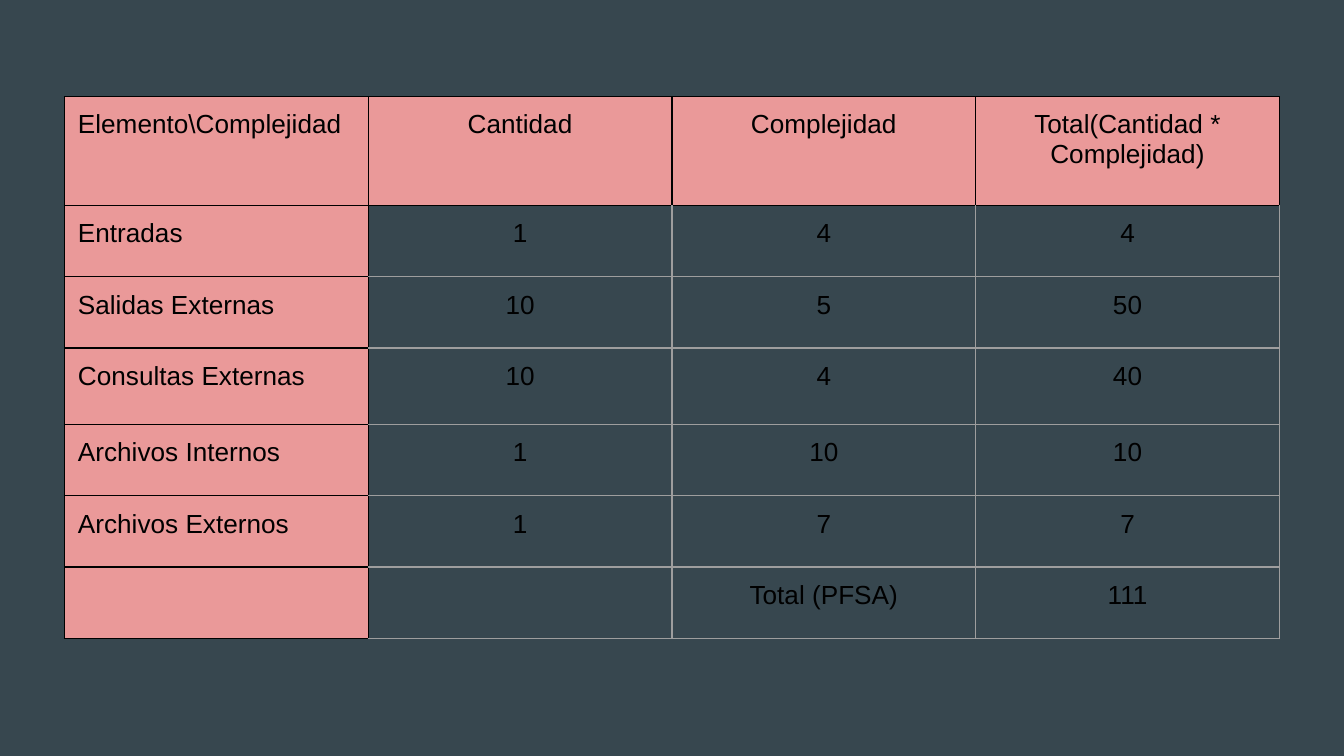
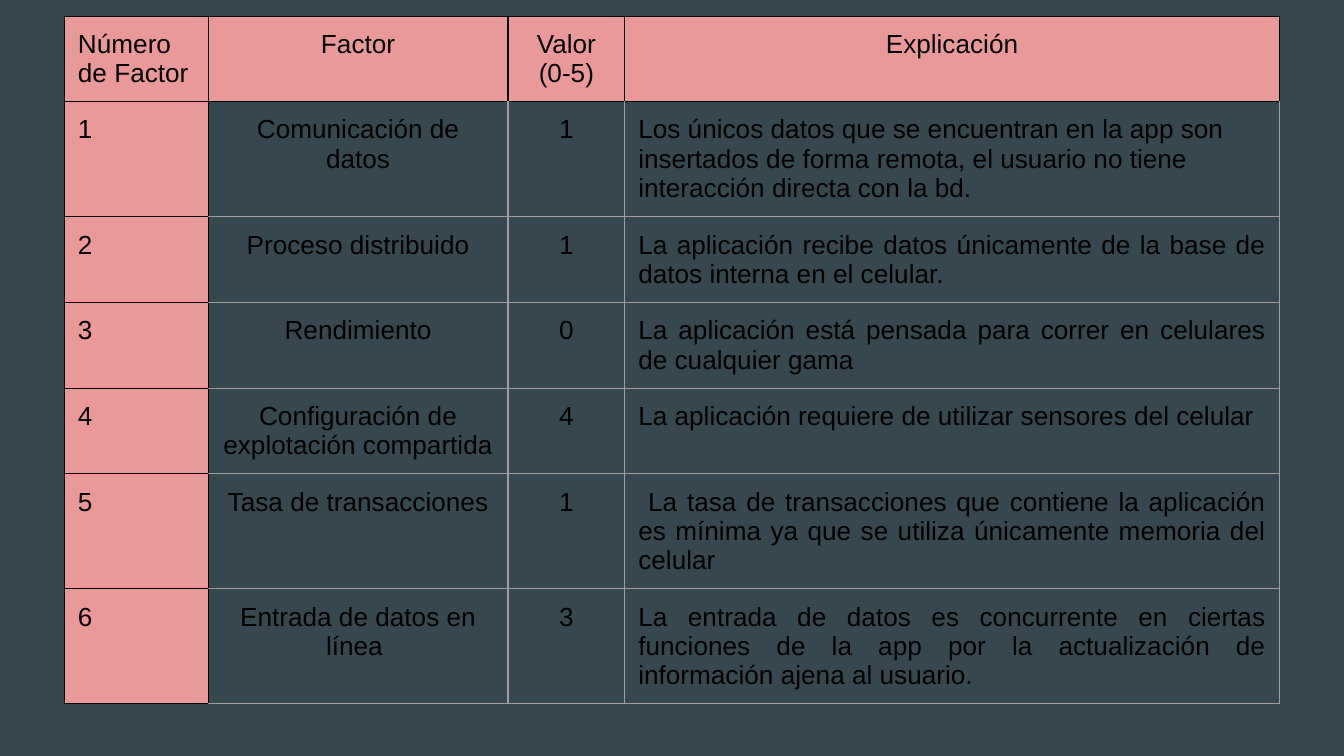
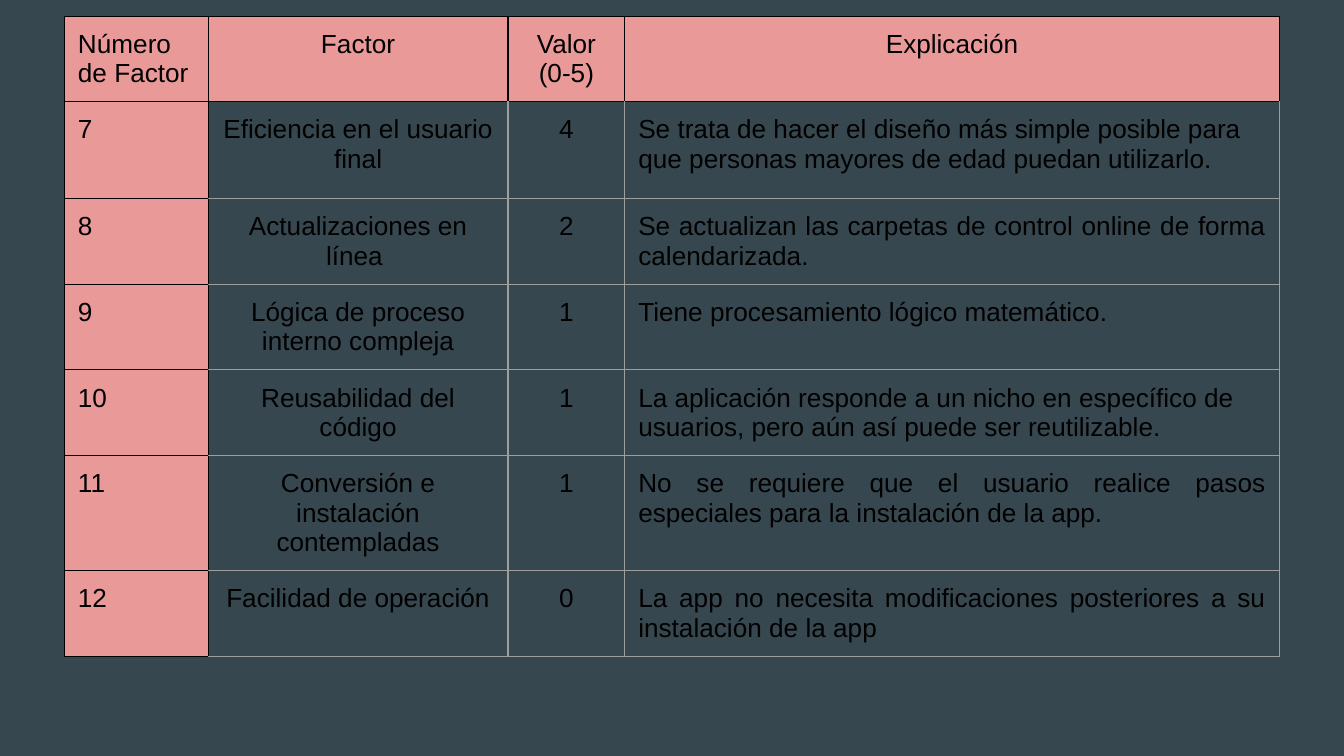
from dataclasses import dataclass

from lxml.etree import SubElement
from pptx import Presentation
from pptx.dml.color import RGBColor
from pptx.enum.text import PP_ALIGN
from pptx.oxml.ns import qn
from pptx.util import Inches, Pt

COLORS = {"back": "37474F", "head": "EA9999", "text": "000000",
          "dark": "000000", "grid": "9E9E9E"}
FONT = "Arial"
LEFT, MID, JUST = PP_ALIGN.LEFT, PP_ALIGN.CENTER, PP_ALIGN.JUSTIFY


@dataclass
class Factor:
    name: str
    value: int
    reason: str
    align: PP_ALIGN = JUST


@dataclass
class Grid:
    top: float
    cols: list[float]
    rows: list[float]
    cells: list[list[str]]
    aligns: list[PP_ALIGN]  # alignment of the last column, row by row


# Contents
POINTS = [
    [r"Elemento\Complejidad", "Cantidad", "Complejidad", "Total(Cantidad * Complejidad)"],
    ["Entradas", "1", "4", "4"],
    ["Salidas Externas", "10", "5", "50"],
    ["Consultas Externas", "10", "4", "40"],
    ["Archivos Internos", "1", "10", "10"],
    ["Archivos Externos", "1", "7", "7"],
    ["", "", "Total (PFSA)", "111"],
]
HEADER = ["Número de Factor", "Factor", "Valor (0-5)", "Explicación"]
FACTORS = [
    Factor("Comunicación de datos", 1,
           "Los únicos datos que se encuentran en la app son\n"
           "insertados de forma remota, el usuario no tiene interacción directa con la bd.", LEFT),
    Factor("Proceso distribuido", 1,
           "La aplicación recibe datos únicamente de la base de datos interna en el celular. "),
    Factor("Rendimiento", 0,
           "La aplicación está pensada para correr en celulares de cualquier gama"),
    Factor("Configuración de explotación compartida", 4,
           "La aplicación requiere de utilizar sensores del celular", LEFT),
    Factor("Tasa de transacciones", 1,
           " La tasa de transacciones que contiene la aplicación es mínima "
           "ya que se utiliza únicamente memoria del celular"),
    Factor("Entrada de datos en línea ", 3,
           "La entrada de datos es concurrente en ciertas funciones de la app "
           "por la actualización de información ajena al usuario. "),
    Factor("Eficiencia en el usuario\nfinal", 4,
           "Se trata de hacer el diseño más simple posible para que personas "
           "mayores de edad puedan utilizarlo.", LEFT),
    Factor("Actualizaciones en línea ", 2,
           "Se actualizan las carpetas de control online de forma calendarizada."),
    Factor("Lógica de proceso interno compleja", 1, "Tiene procesamiento lógico matemático."),
    Factor("Reusabilidad del código", 1,
           "La aplicación responde a un nicho en específico de usuarios, "
           "pero aún así puede ser reutilizable.", LEFT),
    Factor("Conversión e instalación contempladas", 1,
           "No se requiere que el usuario realice pasos especiales "
           "para la instalación de la app. "),
    Factor("Facilidad de operación", 0,
           "La app no necesita modificaciones posteriores a su instalación de la app"),
]


def color(name: str) -> RGBColor:
    return RGBColor.from_string(COLORS[name])


def write(cell, text: str, *, align=LEFT, size=14, ink="text") -> None:
    """Fill a cell with one paragraph per line of text."""
    frame = cell.text_frame
    for i, line in enumerate(text.split("\n")):
        para = frame.add_paragraph() if i else frame.paragraphs[0]
        para.alignment = align
        para.font.size = Pt(size)
        if line:
            run = para.add_run()
            run.text = line
            run.font.name, run.font.size = FONT, Pt(size)
            run.font.color.rgb = color(ink)


def edge(cell, sides: dict[str, str]) -> None:
    """Draw the cell borders; call before the fill, which must follow them."""
    props = cell._tc.get_or_add_tcPr()
    for side, name in sides.items():
        line = SubElement(props, qn(f"a:ln{side}"), w=str(Pt(0.75)))
        fill = SubElement(line, qn("a:solidFill"))
        SubElement(fill, qn("a:srgbClr"), val=COLORS[name])


def draw(deck, grid: Grid) -> None:
    slide = deck.slides.add_slide(deck.slide_layouts[6])
    slide.background.fill.solid()
    slide.background.fill.fore_color.rgb = color("back")
    table = slide.shapes.add_table(
        len(grid.rows), len(grid.cols), Inches(0.48), Inches(grid.top),
        Inches(sum(grid.cols)), Inches(sum(grid.rows))).table
    table.first_row = table.horz_banding = False
    for col, width in zip(table.columns, grid.cols):
        col.width = Inches(width)
    for row, height in zip(table.rows, grid.rows):
        row.height = Inches(height)

    last = len(grid.cols) - 1
    for r, texts in enumerate(grid.cells):
        for c, text in enumerate(texts):
            cell = table.cell(r, c)
            cell.margin_left = cell.margin_right = Inches(0.1)
            cell.margin_top = cell.margin_bottom = Inches(0.1)
            align = LEFT if c == 0 else grid.aligns[r] if c == last else MID
            write(cell, text, align=align)
            # Header row and first column are filled and have dark edges
            head = r == 0 or c == 0
            rest = "dark" if head else "grid"
            edge(cell, {"L": "dark" if c <= 1 else rest, "R": rest,
                        "T": "dark" if r <= 1 else rest, "B": rest})
            if head:
                cell.fill.solid()
                cell.fill.fore_color.rgb = color("head")
            else:
                cell.fill.background()


def chart(start: int) -> Grid:
    """Table of six factors, numbered from start."""
    part = FACTORS[start - 1:start + 5]
    cells = [[str(n), f.name, str(f.value), f.reason] for n, f in enumerate(part, start)]
    return Grid(0.12, [1.07, 2.23, 0.87, 4.87], [0.49, 0.72, 0.53, 0.57] + [0.53] * 3,
                [HEADER] + cells, [MID] + [f.align for f in part])


def main() -> None:
    deck = Presentation()
    deck.slide_width = Inches(10)
    deck.slide_height = deck.slide_width * 9 // 16  # widescreen
    draw(deck, Grid(0.72, [2.26] * 4, [0.81, 0.53, 0.53, 0.57] + [0.53] * 3,
                    POINTS, [MID] * len(POINTS)))
    for start in (1, 7):
        draw(deck, chart(start))
    deck.save("out.pptx")


if __name__ == "__main__":
    main()
